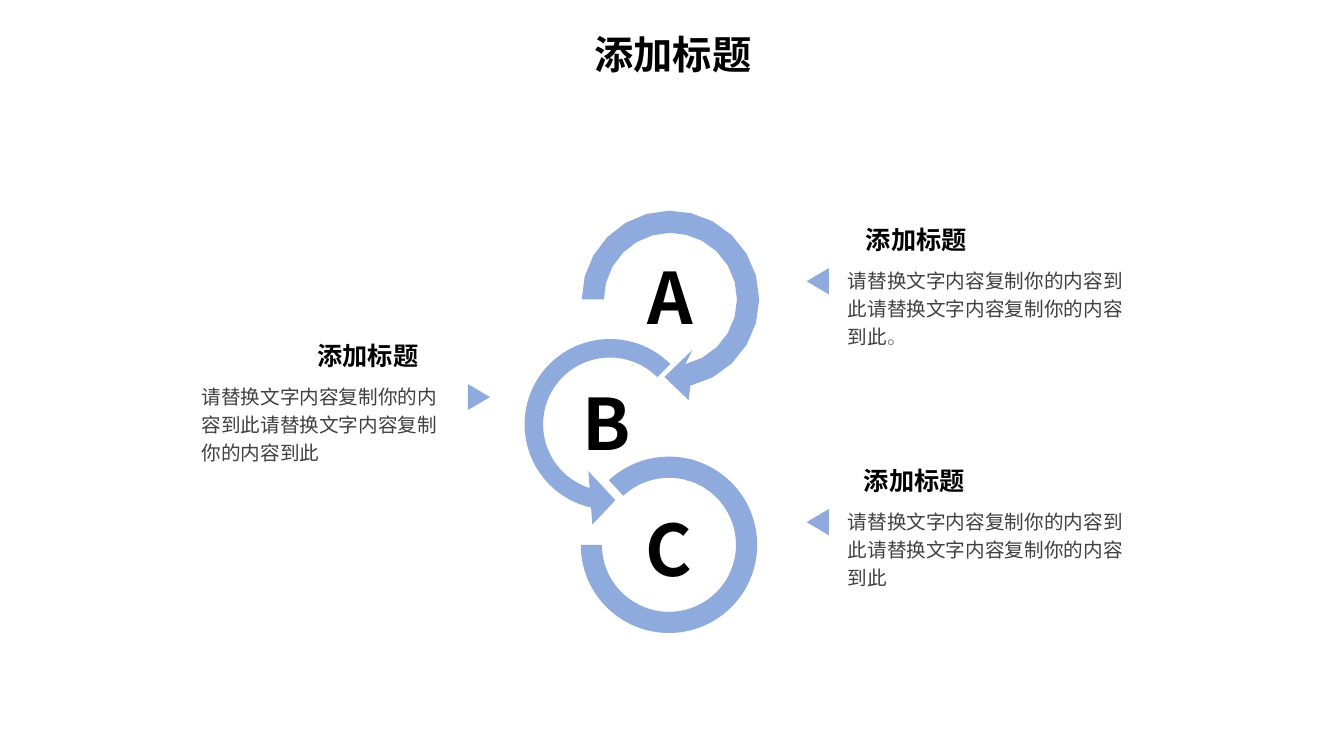
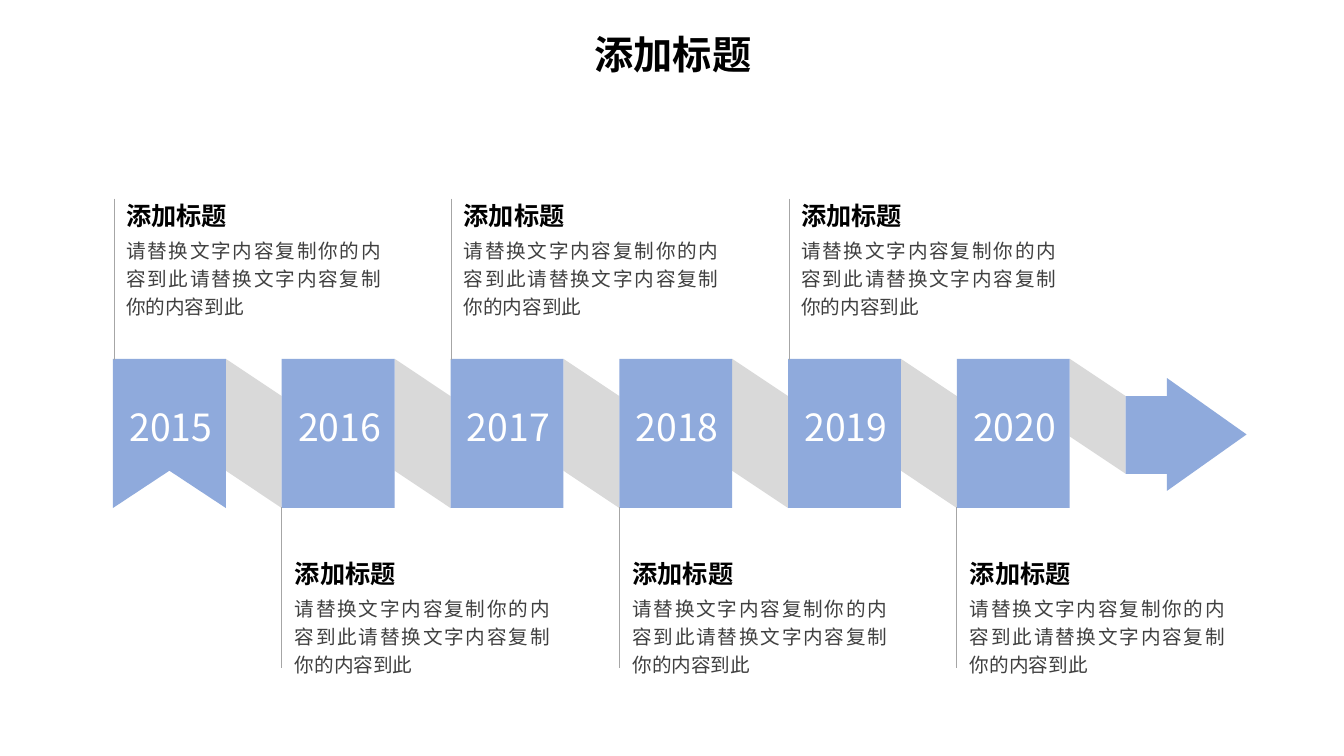
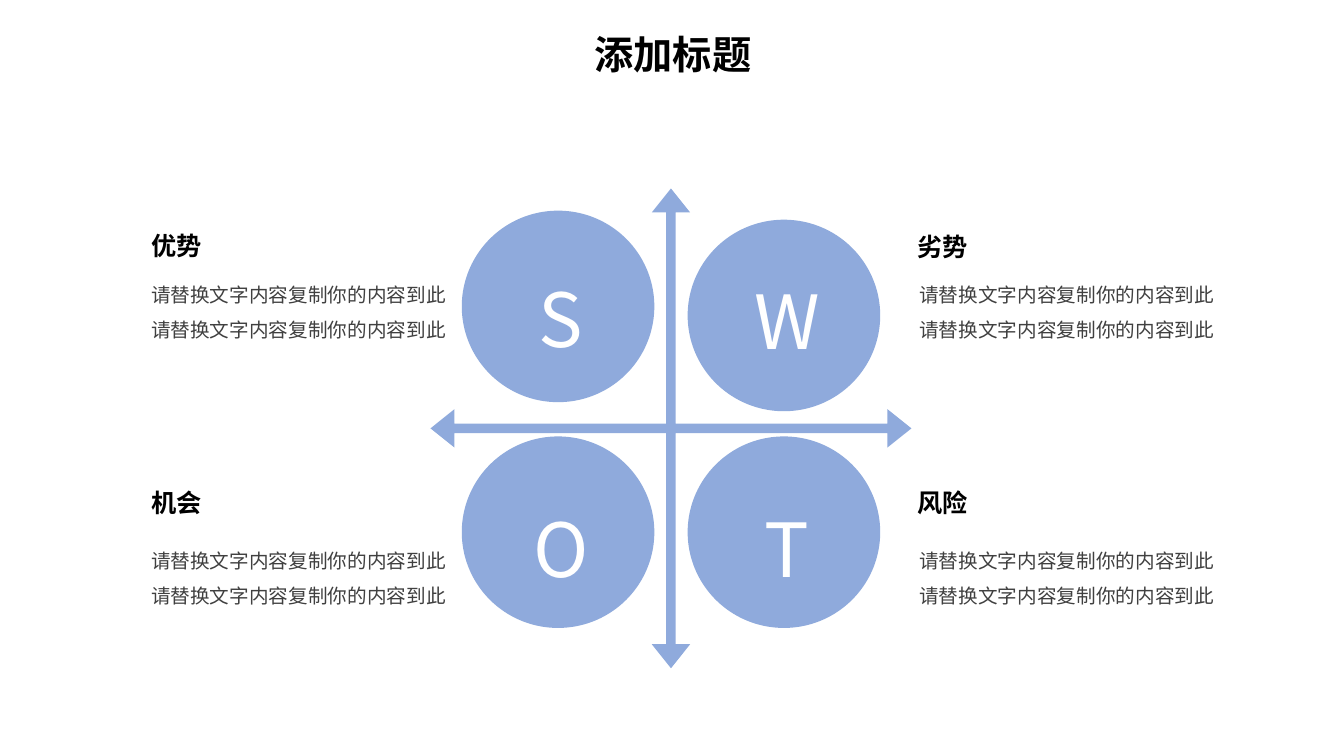
"""Three slides of blue diagrams: linked rings, a timeline and a SWOT cross."""
from copy import deepcopy
from math import cos, radians, sin

from lxml.etree import SubElement
from pptx import Presentation
from pptx.dml.color import RGBColor
from pptx.enum.shapes import MSO_CONNECTOR, MSO_SHAPE
from pptx.enum.text import MSO_ANCHOR, MSO_AUTO_SIZE, PP_ALIGN
from pptx.oxml.ns import qn
from pptx.util import Inches, Pt

FONT = "Noto Sans CJK SC"
BLUE, GREY, RULE = "8FAADC", "D9D9D9", "A6A6A6"
BLACK, DARK, PALE, WHITE = "000000", "404040", "808080", "FFFFFF"
HEAD = "添加标题"
NOTE = "请替换文字内容复制你的内容到此" * 2
hue = RGBColor.from_string


def draw(slide, color, spots, kind=None, tweaks=()):
    """Draw a preset in a box of grid squares, or an outline through points."""
    if kind:
        shape = slide.shapes.add_shape(kind, *map(Inches, spots))
    else:
        first, *rest = [(Inches(x), Inches(y)) for x, y in spots]
        pen = slide.shapes.build_freeform(*first, scale=1)
        pen.add_line_segments(rest, close=True)
        shape = pen.convert_to_shape()
    for i, value in enumerate(tweaks):
        shape.adjustments[i] = value
    shape.shadow.inherit = False
    shape.fill.solid()
    shape.fill.fore_color.rgb = hue(color)
    shape.line.fill.background()
    return shape


def write(frame, lines, align=PP_ALIGN.LEFT, lead=1.0):
    """Fill a text frame with lines of text, size, colour and weight."""
    frame.word_wrap = True
    frame.text = "\n".join(line[0] for line in lines)
    for para, (_, size, color, bold) in zip(frame.paragraphs, lines):
        para.alignment = align
        para.line_spacing = lead
        font = para.runs[0].font
        font.size, font.bold, font.name = Pt(size), bold, FONT
        font.color.rgb = hue(color)
        SubElement(para.runs[0]._r.rPr, qn("a:ea")).set("typeface", FONT)
    return frame


deck = Presentation()
deck.slide_width, deck.slide_height = Inches(13.33), Inches(7.5)
slides = [deck.slides.add_slide(deck.slide_layouts[5]) for _ in range(3)]
for slide in slides:
    title = slide.shapes.title
    title.left, title.top = Inches(0.01), Inches(0.25)
    title.width, title.height = deck.slide_width, Inches(0.57)
    frame = write(title.text_frame, [(HEAD, 28, BLACK, True)], PP_ALIGN.CENTER)
    frame.vertical_anchor = MSO_ANCHOR.TOP
    frame.auto_size = MSO_AUTO_SIZE.NONE
rings, years, swot = slides

x, y = 6.65, 2.97
barb = [(x + 0.18, y + 1), (x - 0.06, y + 0.77), (x + 0.22, y + 0.5)]
for start, end, steps, tip in [(283, 437, 10, barb), (180, 284, 7, [])]:
    turns = [radians(start + (end - start) * i / steps) for i in range(steps + 1)]
    rim, hole = [[(x + size * cos(t), y + size * sin(t)) for t in turns]
                 for size in (0.88, 0.66)]
    draw(rings, BLUE, rim + tip + hole[::-1])
draw(rings, BLUE, (5.03, 3.19, 2.04, 2.04), MSO_SHAPE.LEFT_CIRCULAR_ARROW,
     (0.09, 11.42, 62.94, 189, 0.13))
for start, end in [(136.24, 172.28), (170.85, 108)]:
    draw(rings, BLUE, (5.76, 4.53, 1.75, 1.75), MSO_SHAPE.BLOCK_ARC,
         (start, end, 0.12))

for mark, x, y in [("A", 6.32, 2.47), ("B", 5.68, 3.72), ("C", 6.3, 4.97)]:
    box = rings.shapes.add_textbox(*map(Inches, (x, y, 0.73, 0.95)))
    write(box.text_frame, [(mark, 50.7, BLACK, True)])

for x, y, wide, shift, point, turn, stop in [
    (8.31, 2.12, 3.09, 0.18, 7.98, 270, "。"),
    (8.31, 4.51, 3.09, 0.16, 7.98, 270, ""),
    (1.9, 3.27, 2.67, 1.15, 4.62, 90, ""),
]:
    box = rings.shapes.add_textbox(*map(Inches, (x + shift, y, 1.25, 0.46)))
    write(box.text_frame, [(HEAD, 18, BLACK, True)], lead=1.2)
    box = rings.shapes.add_textbox(*map(Inches, (x, y + 0.45, wide, 0.95)))
    para = write(box.text_frame, [(NOTE, 14, DARK, False)], lead=1.2).paragraphs[0]
    if stop:
        para._p.append(deepcopy(para.runs[0]._r))
        para.runs[1].text = stop
        para.runs[1].font.color.rgb = hue(PALE)
    wedge = draw(rings, BLUE, (point, y + 0.56, 0.26, 0.22),
                 MSO_SHAPE.ISOSCELES_TRIANGLE)
    wedge.rotation = turn

left, top, wide, tall, fold = 1.12, 3.56, 1.12, 1.48, 0.37
pitch = 8.37 / 5
base = top + tall
for i in range(6):
    x = left + i * pitch
    edge, after = x + wide, x + pitch
    lift = 0.34 if i == 5 else 0
    draw(years, GREY, [(edge, top), (after, top + fold), (after, base - lift),
                       (edge, base - fold - lift)])
    if i:
        block = draw(years, BLUE, (x, top, wide, tall), MSO_SHAPE.RECTANGLE)
    else:
        block = draw(years, BLUE, [(x, top), (edge, top), (edge, base),
                                   (x + wide / 2, base - fold), (x, base)])
    frame = write(block.text_frame, [(str(2015 + i), 26.7, WHITE, False)],
                  PP_ALIGN.CENTER)
    frame.vertical_anchor = MSO_ANCHOR.MIDDLE
    frame.margin_left, frame.margin_bottom = Inches(0.03), Inches(0.13)
    frame.margin_right = frame.margin_top = 0

    nudge, begin, high = (0, 5.03, 5.41) if i % 2 else (0.01, 1.97, 1.86)
    rule = years.shapes.add_connector(
        MSO_CONNECTOR.STRAIGHT,
        *map(Inches, (x + nudge, begin, x + nudge, begin + 1.6)))
    rule.line.color.rgb = hue(RULE)
    rule.line.width = Pt(0.5)
    SubElement(rule._element.spPr, qn("a:effectLst"))
    frame = years.shapes.add_textbox(*map(Inches, (x, high, 2.79, 1.36))).text_frame
    frame.margin_left = frame.margin_right = Inches(0.13)
    frame.margin_top = frame.margin_bottom = Inches(0.07)
    write(frame, [(HEAD, 18, BLACK, True), (NOTE, 14, DARK, False)],
          PP_ALIGN.JUSTIFY, 1.2)
    frame.paragraphs[1].space_before = Pt(2.5)

x, y = left + 6 * pitch, 4.31
draw(years, BLUE, [(x, y - 0.38), (x + 0.41, y - 0.38), (x + 0.41, y - 0.56),
                   (x + 1.2, y), (x + 0.41, y + 0.56), (x + 0.41, y + 0.39),
                   (x, y + 0.39)])

draw(swot, BLUE, (4.27, 1.87, 4.77, 4.76), MSO_SHAPE.QUAD_ARROW, (0.02, 0.04, 0.05))
for mark, name, x, y, drop, side, shift, high, low in [
    ("S", "优势", 4.58, 2.09, 0.22, 1.4, 0, 2.18, 2.64),
    ("W", "劣势", 6.82, 2.18, 0.08, 9, 0.02, 2.19, 2.64),
    ("O", "机会", 4.58, 4.33, 0.31, 1.4, 0, 4.73, 5.28),
    ("T", "风险", 6.82, 4.33, 0.31, 9, 0.02, 4.73, 5.28),
]:
    disc = draw(swot, BLUE, (x, y, 1.91, 1.9), MSO_SHAPE.OVAL)
    frame = write(disc.text_frame, [(mark, 53.3, WHITE, False)], PP_ALIGN.CENTER)
    frame.vertical_anchor = MSO_ANCHOR.MIDDLE
    frame.margin_left, frame.margin_top = Inches(0.06), Inches(drop)
    frame.margin_right = frame.margin_bottom = 0
    box = swot.shapes.add_textbox(*map(Inches, (side, high, 3.01, 0.45)))
    write(box.text_frame, [(name, 18, BLACK, True)], lead=1.2)
    box = swot.shapes.add_textbox(*map(Inches, (side + shift, low, 3.2, 0.81)))
    write(box.text_frame, [(NOTE, 14, DARK, False)], lead=1.5)

deck.save("out.pptx")
